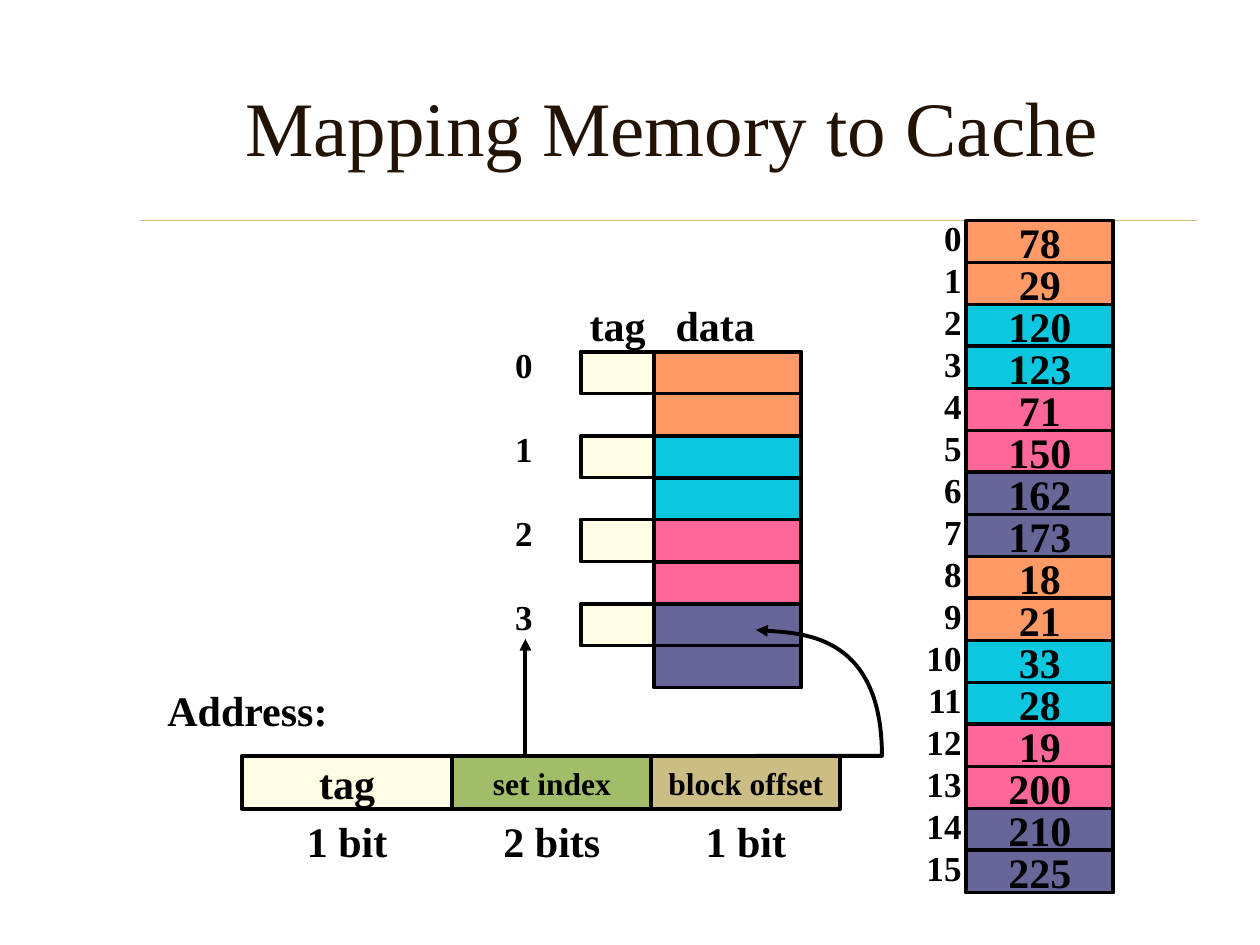
from lxml.etree import SubElement
from pptx import Presentation
from pptx.dml.color import RGBColor
from pptx.enum.shapes import MSO_CONNECTOR, MSO_SHAPE
from pptx.enum.text import MSO_ANCHOR, PP_ALIGN
from pptx.oxml.ns import qn
from pptx.util import Inches, Pt

FONT = "Times New Roman"
BLACK, CREAM, GREEN, SAND, BROWN = "000000", "FEFDE3", "A1BD69", "CBBD83", "221304"
SET_COLORS = ["FF9966", "0CC7E0", "FF6699", "666699"]
MEMORY = [78, 29, 120, 123, 71, 150, 162, 173, 18, 21, 33, 28, 19, 200, 210, 225]
BLOCK = 2        # memory words in one cache block
ROW = 1 / 3      # height of one memory word
DATA_W = 3.5 * ROW
TAG_W = DATA_W / 2


def rgb(value):
    return RGBColor.from_string(value)


def write(shape, lines, size, align, color=BLACK, bold=True, gap=0, anchor=MSO_ANCHOR.TOP):
    frame = shape.text_frame
    frame.vertical_anchor = anchor
    for i, line in enumerate(lines):
        para = frame.paragraphs[0] if i == 0 else frame.add_paragraph()
        para.text = str(line)
        para.alignment = align
        para.line_spacing = Pt(1.2 * size)
        para.space_before = Pt(gap if i else 0)
        font = para.font
        font.name, font.size, font.bold = FONT, Pt(size), bold
        font.color.rgb = rgb(color)
    return frame


def label(slide, box, lines, size=24, align=PP_ALIGN.LEFT, **style):
    text_box = slide.shapes.add_textbox(*map(Inches, box))
    write(text_box, lines, size, align, **style).word_wrap = True


def cell(slide, box, fill, text=None, size=24):
    rect = slide.shapes.add_shape(MSO_SHAPE.RECTANGLE, *map(Inches, box))
    rect.shadow.inherit = False
    rect.fill.solid()
    rect.fill.fore_color.rgb = rgb(fill)
    stroke(rect)
    if text is not None:
        frame = write(rect, [text], size, PP_ALIGN.CENTER, anchor=MSO_ANCHOR.MIDDLE)
        frame.word_wrap = False


def stroke(shape, color=BLACK, width=2.25, arrow=False):
    shape.line.color.rgb = rgb(color)
    shape.line.width = Pt(width)
    if arrow:
        SubElement(shape.line._get_or_add_ln(), qn("a:tailEnd"), type="triangle")


def straight(slide, start, end, **style):
    line = slide.shapes.add_connector(MSO_CONNECTOR.STRAIGHT, *map(Inches, (*start, *end)))
    stroke(line, **style)
    SubElement(line._element.spPr, qn("a:effectLst"))


def curved_arrow(slide, start, points):
    """Each three points are two controls and an end of a Bezier segment."""
    builder = slide.shapes.build_freeform(*start, scale=Inches(1))
    builder.add_line_segments(points, close=False)
    curve = builder.convert_to_shape()
    curve.shadow.inherit = False
    curve.fill.background()
    stroke(curve, arrow=True)
    steps = list(curve._element.spPr.iter(qn("a:lnTo")))
    for i in range(0, len(steps), 3):
        first, *others = steps[i:i + 3]
        bezier = SubElement(first.getparent(), qn("a:cubicBezTo"))
        for step in (first, *others):
            bezier.append(step[0])
            step.getparent().remove(step)


def heading(slide, left, top, width, height):
    straight(slide, (1.11, 1.75), (left + width, 1.75), color=SAND, width=0.25)
    label(slide, (left, top, width, height), ["Mapping Memory to Cache"], 44,
          PP_ALIGN.CENTER, color=BROWN, bold=False, anchor=MSO_ANCHOR.MIDDLE)


def memory(slide, left, top):
    for i, value in enumerate(MEMORY):
        color = SET_COLORS[i // BLOCK % len(SET_COLORS)]
        cell(slide, (left, top + i * ROW, DATA_W, ROW), color, value)
    label(slide, (left - 0.54, top - 0.08, 0.6, len(MEMORY) * ROW + 0.1),
          range(len(MEMORY)), 20, PP_ALIGN.RIGHT)


def cache(slide, left, top):
    data_left = left + TAG_W
    label(slide, (left - 0.1, top - 0.46, TAG_W + 0.2, 0.5), ["tag"], align=PP_ALIGN.CENTER)
    label(slide, (data_left + 0.07, top - 0.46, DATA_W, 0.5), ["data"])
    for i, color in enumerate(SET_COLORS):
        y = top + i * BLOCK * ROW
        cell(slide, (left, y, TAG_W, ROW), CREAM)
        for word in range(BLOCK):
            cell(slide, (data_left, y + word * ROW, DATA_W, ROW), color)
    label(slide, (left - 0.62, top - 0.11, 0.4, 2.44), range(len(SET_COLORS)), 20, gap=24)


def address(slide, left, top, height):
    fields = [("tag", "1 bit", 1.67, CREAM, 24),
              ("set index", "2 bits", 1.58, GREEN, 18),
              ("block offset", "1 bit", 1.5, SAND, 18)]
    label(slide, (left - 0.69, top - 0.62, 1.7, 0.5), ["Address:"])
    for name, bits, width, color, size in fields:
        cell(slide, (left, top, width, height), color, name, size)
        label(slide, (left, top + height, width, 0.5), [bits], align=PP_ALIGN.CENTER)
        left += width


def main():
    deck = Presentation()
    deck.slide_width, deck.slide_height = Inches(10), Inches(7.5)
    slide = deck.slides.add_slide(deck.slide_layouts[6])
    heading(slide, 1.17, 0.58, 8.33, 0.84)
    memory(slide, 7.67, 1.75)
    cache(slide, 4.61, 2.79)
    address(slide, 1.92, 6, 0.42)
    straight(slide, (4.17, 6.01), (4.17, 5.07), arrow=True)
    curved_arrow(slide, (5.92, 6), [(6.34, 5.81), (6.76, 5.61), (6.83, 5.5),
                                    (6.9, 5.39), (6.42, 5.36), (6.33, 5.33)])
    deck.save("out.pptx")


if __name__ == "__main__":
    main()
